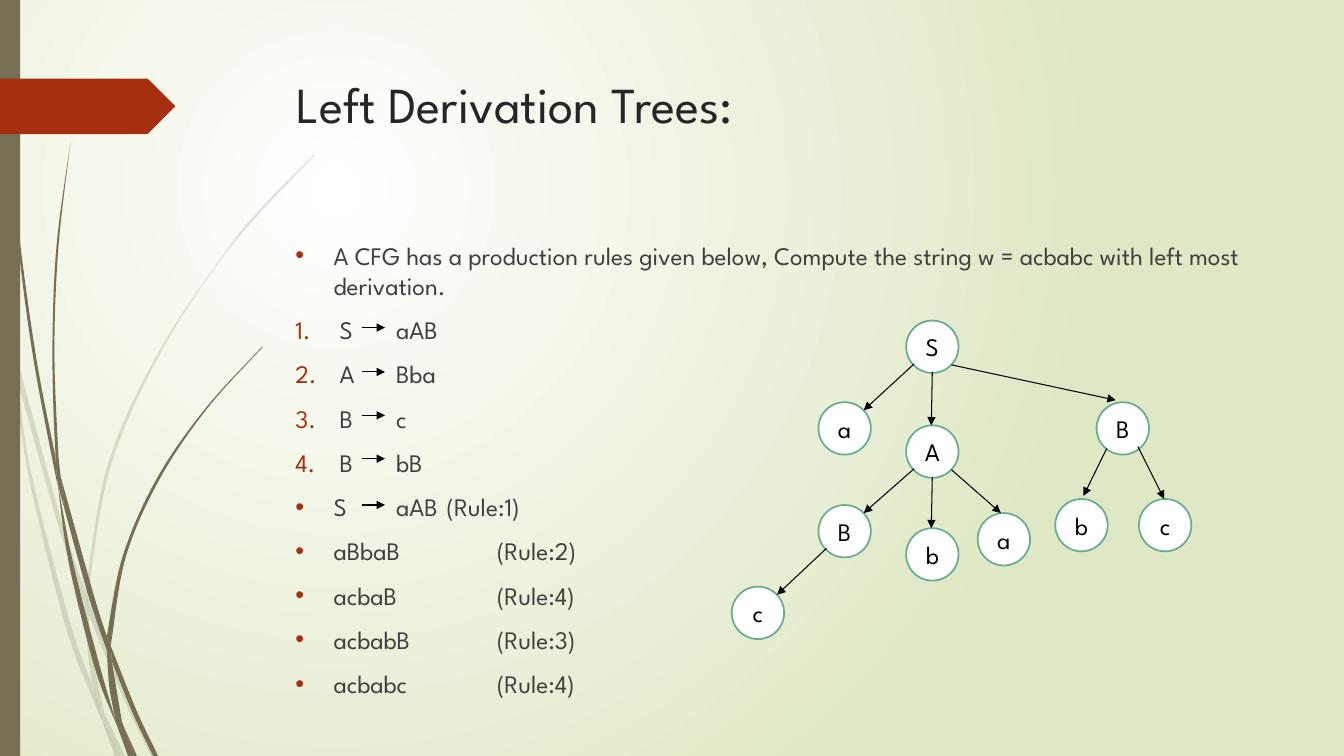
from lxml import etree
from pptx import Presentation
from pptx import util as u
from pptx.dml.color import RGBColor
from pptx.enum import shapes, text
from pptx.oxml.ns import qn

FONT = "League Spartan"
OLIVE, RUST, GREEN = "766F54", "A53010", "6AAC91"
BLACK, WHITE, PALE = "000000", "FFFFFF", "DFE8C4"

# All positions below are in inches; length() turns them into Cm.
TITLE = "Left Derivation Trees:"
NUMBER, DOT = ("buAutoNum", "type", "arabicPeriod", 0.44), ("buChar", "char", "•", 0.38)
LINES = [
    (DOT, "A CFG has a production rules given below, Compute the string "
          "w = acbabc with left most derivation."),
    (NUMBER, "S\taAB"), (NUMBER, "A\tBba"), (NUMBER, "B\tc"), (NUMBER, "B\tbB"),
    (DOT, "S\taAB\t(Rule:1)"), (DOT, "aBbaB\t\t(Rule:2)"), (DOT, "acbaB\t\t(Rule:4)"),
    (DOT, "acbabB\t\t(Rule:3)"), (DOT, "acbabc\t\t(Rule:4)"),
]
RULE_ARROW_TOPS = [3.25, 3.69, 4.12, 4.55, 5.01]

NODE_SIZE = 0.52
NODES = {  # key: (letter, left, top)
    "root": ("S", 8.99, 3.18),
    "a1": ("a", 8.12, 3.99), "A": ("A", 8.99, 4.22), "B2": ("B", 10.88, 3.99),
    "B1": ("B", 8.12, 5.01), "b1": ("b", 8.99, 5.24), "a2": ("a", 9.7, 5.09),
    "c1": ("c", 7.26, 5.82), "b2": ("b", 10.47, 4.95), "c2": ("c", 11.3, 4.95),
}
# Offsets from the top left of a node
LOWER_LEFT, BOTTOM, LOWER_RIGHT = (0.08, 0.43), (0.26, 0.51), (0.45, 0.44)
UPPER_RIGHT, TOP = (0.45, 0.08), (0.25, 0)
EDGES = [
    ("root", LOWER_LEFT, "a1", UPPER_RIGHT), ("root", BOTTOM, "A", TOP),
    ("root", LOWER_RIGHT, "B2", (0.19, -0.02)),
    ("A", LOWER_LEFT, "B1", UPPER_RIGHT), ("A", BOTTOM, "b1", TOP),
    ("A", LOWER_RIGHT, "a2", (0.23, 0)), ("B1", LOWER_LEFT, "c1", UPPER_RIGHT),
    ("B2", (0.1, 0.46), "b2", (0.28, -0.03)), ("B2", (0.41, 0.44), "c2", TOP),
]

# Each blade of grass is a pair of edges: down one side, then back up the other.
LIGHT_BLADES = [
    ([(0, 2.82), (0.09, 3.22), (0.11, 3.5)], [(0.1, 3.44), (0, 2.99)]),
    ([(0.14, 3.45), (0.62, 5.2), (0.85, 5.86)], [(0.84, 5.99), (0.58, 5.22), (0.17, 3.76)]),
    ([(0.88, 5.96), (0.92, 6.07), (1.27, 6.92), (1.55, 7.5)],
     [(1.5, 7.5), (1.23, 6.94), (0.88, 6.1)]),
    ([(1.05, 7.11), (1.24, 7.5)], [(1.19, 7.5)]),
    ([(0.11, 3.5), (0.17, 3.76), (0.31, 4.69), (0.7, 6.19), (0.93, 6.83)],
     [(1.01, 7.14), (0.92, 6.93), (0.65, 6.21), (0.28, 4.7), (0.11, 3.5)]),
    ([(0.84, 5.99), (0.87, 6.46), (0.93, 6.83), (1.05, 7.11)],
     [(1.03, 7.06), (0.91, 6.46), (0.88, 6.08)]),
    ([(3.12, 1.53), (2.68, 1.97), (2.28, 2.44), (1.58, 3.48), (1.07, 4.61), (0.85, 5.86)],
     [(0.88, 5.96), (0.88, 5.84), (1.1, 4.62), (1.6, 3.49), (2.29, 2.45), (3.12, 1.54)]),
    ([(1.01, 7.14), (1.14, 7.5)], [(1.19, 7.5)]),
    ([(0.85, 5.86), (0.84, 5.99)], [(0.88, 6.08), (0.88, 5.96)]),
    ([(0.93, 6.83), (1.01, 7.14), (1.19, 7.5)], [(1.05, 7.11), (0.96, 6.92)]),
]
DARK_BLADES = [
    ([(0.03, 0), (0.07, 1.1), (0.17, 2.33), (0.33, 3.55), (0.57, 4.81)],
     [(0.55, 4.53), (0.36, 3.55), (0.19, 2.32), (0.08, 1.09), (0.04, 0)]),
    ([(0.6, 4.72), (0.93, 5.9), (1.06, 6.31)], [(1.06, 6.45), (0.88, 5.92), (0.64, 5.05)]),
    ([(1.1, 6.41), (1.36, 7.06), (1.57, 7.5)], [(1.52, 7.5), (1.32, 7.08), (1.11, 6.56)]),
    ([(0.57, 4.77), (0.72, 5.56), (0.98, 6.57), (1.17, 7.22)],
     [(1.11, 7.08), (0.93, 6.59), (0.68, 5.57), (0.57, 4.77)]),
    ([(0.7, 1.41), (0.56, 2.45), (0.52, 3.49), (0.55, 4.49), (0.6, 4.72)],
     [(0.58, 4.53), (0.54, 3.49), (0.58, 2.45), (0.7, 1.41)]),
    ([(1.22, 7.19), (1.36, 7.5)], [(1.33, 7.5)]),
    ([(0.55, 4.49), (0.57, 4.77), (0.64, 5.05)], [(0.6, 4.72)]),
    ([(2.6, 3.44), (2.04, 4.05), (1.56, 4.74), (1.22, 5.51), (1.06, 6.31)],
     [(1.1, 6.41), (1.11, 6.33), (1.25, 5.52), (1.58, 4.76), (2.05, 4.06), (2.61, 3.44)]),
    ([(1.17, 7.22), (1.31, 7.5)], [(1.27, 7.5)]),
    ([(1.06, 6.45), (1.1, 6.91), (1.22, 7.19)], [(1.21, 7.16), (1.11, 6.56)]),
    ([(1.06, 6.31), (1.06, 6.45)], [(1.11, 6.56), (1.1, 6.41)]),
    ([(1.1, 6.91), (1.17, 7.22), (1.3, 7.5)], [(1.33, 7.5), (1.22, 7.19), (1.16, 7.06)]),
]


def length(inches):
    return u.Cm(inches * 2.54)


def color(hex_string):
    return RGBColor.from_string(hex_string)


def add_xml(parent, tag, **attributes):
    return etree.SubElement(parent, qn(tag), attributes)


def paint(shape, fill, line=None):
    shape.shadow.inherit = False
    shape.fill.solid()
    shape.fill.fore_color.rgb = color(fill)
    if line:
        shape.line.color.rgb = color(line)
        shape.line.width = u.Pt(1.25)
    else:
        shape.line.fill.background()


def write(paragraph, words, size, ink):
    run = paragraph.add_run()
    run.text = words
    run.font.size, run.font.name = u.Pt(size), FONT
    run.font.color.rgb = color(ink)


def place(shape, left, top, width, height):
    shape.left, shape.top = length(left), length(top)
    shape.width, shape.height = length(width), length(height)
    shape.text_frame.auto_size = text.MSO_AUTO_SIZE.NONE
    shape.text_frame.vertical_anchor = text.MSO_ANCHOR.TOP


def bezier(points):
    """Return two handles and an end for each step of a smooth curve."""
    padded = [points[0], *points, points[-1]]
    curve = []
    for before, start, end, after in zip(padded, padded[1:], padded[2:], padded[3:]):
        curve.append(tuple(s + (e - b) / 6 for b, s, e in zip(before, start, end)))
        curve.append(tuple(e - (a - s) / 6 for s, e, a in zip(start, end, after)))
        curve.append(end)
    return curve


def add_blade(group, down, up, opacity):
    points = [down[0], *bezier(down), down[-1], up[0], up[0], *bezier(up)]
    points = [(length(x), length(y)) for x, y in points]
    builder = group.shapes.build_freeform(*points[0])
    builder.add_line_segments(points[1:], close=True)
    blade = builder.convert_to_shape()
    paint(blade, OLIVE)
    if opacity < 100:
        tint = blade.element.spPr.find(qn("a:solidFill"))[0]
        add_xml(tint, "a:alpha", val=str(opacity * 1000))
    steps = list(blade.element.iter(qn("a:lnTo")))
    for first, second, third in zip(steps[::3], steps[1::3], steps[2::3]):
        first.tag = qn("a:cubicBezTo")
        for step in (second, third):
            first.append(step[0])
            step.getparent().remove(step)


def add_arrow(slide, start, end):
    arrow = slide.shapes.add_connector(
        shapes.MSO_CONNECTOR.STRAIGHT, *map(length, (*start, *end)))
    arrow.line.color.rgb = color(BLACK)
    arrow.line.width = u.Pt(0.75)
    add_xml(arrow.element.spPr.find(qn("a:ln")), "a:tailEnd", type="triangle")
    add_xml(arrow.element.spPr, "a:effectLst")


def port(node, offset):
    return tuple(a + b for a, b in zip(NODES[node][1:], offset))


presentation = Presentation()
presentation.slide_width, presentation.slide_height = u.Cm(33.87), u.Cm(19.05)
slide = presentation.slides.add_slide(presentation.slide_layouts[1])

background = slide.background.fill
background.gradient()
for stop, hex_string, position in zip(background.gradient_stops, (WHITE, PALE), (0, 1)):
    stop.color.rgb, stop.position = color(hex_string), position
gradient = slide.element.find(".//" + qn("a:gradFill"))
gradient.remove(gradient.find(qn("a:lin")))
circle = add_xml(gradient, "a:path", **{"path": "circle"})
add_xml(circle, "a:fillToRect", l="50000", t="50000", r="100000", b="100000")

decoration = []
for blades, opacity in ((LIGHT_BLADES, 20), (DARK_BLADES, 100)):
    grass = slide.shapes.add_group_shape()
    for down, up in blades:
        add_blade(grass, down, up, opacity)
    decoration.append(grass)
for kind, top, width, height, fill in ((shapes.MSO_SHAPE.RECTANGLE, 0, 0.2, 7.5, OLIVE),
                                       (shapes.MSO_SHAPE.PENTAGON, 0.78, 1.74, 0.55, RUST)):
    decoration.append(slide.shapes.add_shape(kind, *map(length, (0, top, width, height))))
    paint(decoration[-1], fill)
for shape in decoration:  # the decoration belongs to the slide master
    presentation.slide_master.shapes.element.append(shape.element)

title, body = slide.placeholders
place(title, 2.84, 0.68, 9.75, 1.4)
title.text_frame.paragraphs[0].alignment = text.PP_ALIGN.LEFT
write(title.text_frame.paragraphs[0], TITLE, 36, "262626")

place(body, 2.83, 2.33, 9.75, 5.17)
for index, ((tag, key, value, indent), words) in enumerate(LINES):
    paragraph = body.text_frame.add_paragraph() if index else body.text_frame.paragraphs[0]
    properties = paragraph._p.get_or_add_pPr()
    properties.set("marL", str(length(indent)))
    properties.set("indent", str(-length(indent)))
    add_xml(add_xml(properties, "a:buClr"), "a:srgbClr", val=RUST)
    add_xml(properties, "a:buFont", typeface="Arial" if tag == "buChar" else FONT)
    add_xml(properties, "a:" + tag, **{key: value})
    paragraph.space_before = u.Pt(10 if index else 0)
    write(paragraph, words, 18, "404040")

for y in RULE_ARROW_TOPS:
    add_arrow(slide, (3.59, y), (3.82, y))
for letter, left, top in NODES.values():
    node = slide.shapes.add_shape(
        shapes.MSO_SHAPE.OVAL, *map(length, (left, top, NODE_SIZE, NODE_SIZE)))
    paint(node, WHITE, GREEN)
    frame = node.text_frame
    frame.vertical_anchor = text.MSO_ANCHOR.MIDDLE
    frame.paragraphs[0].alignment = text.PP_ALIGN.CENTER
    write(frame.paragraphs[0], letter, 18, BLACK)
for parent, leaving, child, arriving in EDGES:
    add_arrow(slide, port(parent, leaving), port(child, arriving))

presentation.save("out.pptx")
